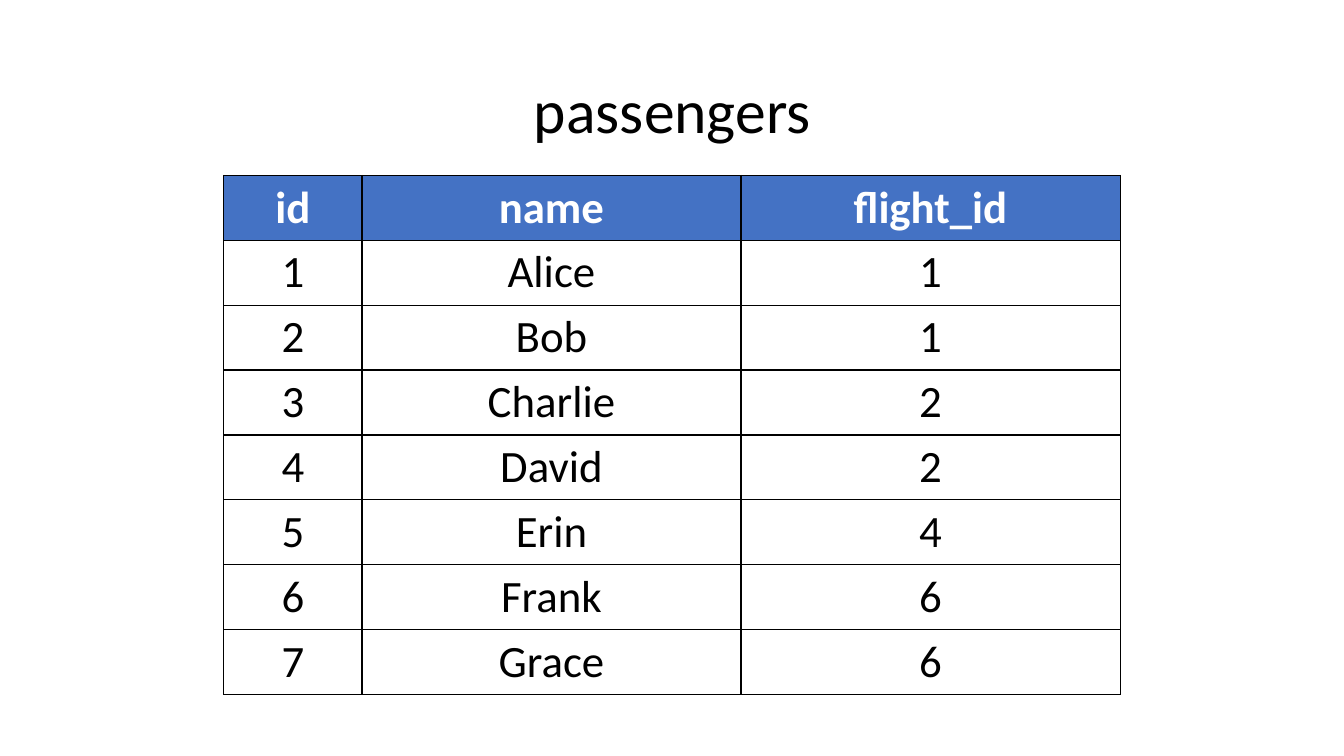
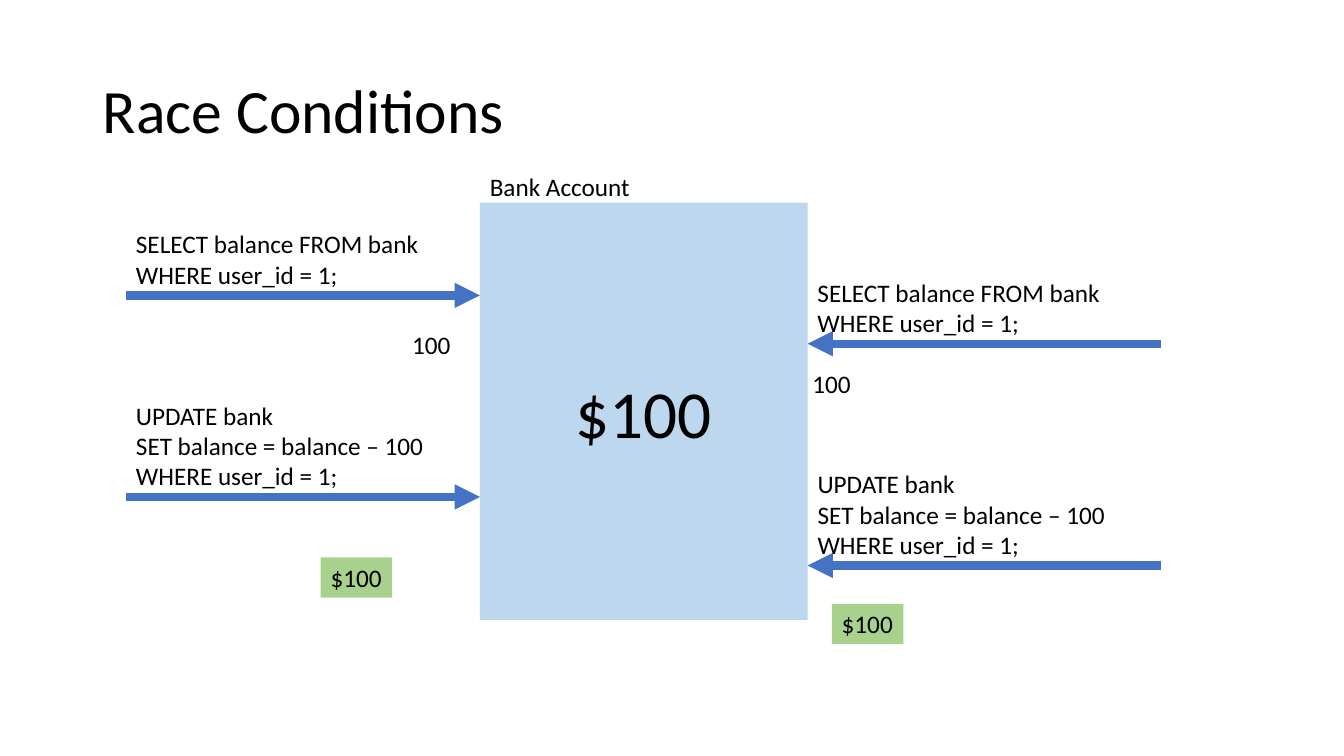
from lxml.etree import SubElement
from pptx import Presentation
from pptx.dml.color import RGBColor
from pptx.enum.shapes import MSO_CONNECTOR, MSO_SHAPE
from pptx.enum.text import MSO_ANCHOR, MSO_AUTO_SIZE, PP_ALIGN
from pptx.oxml.ns import qn
from pptx.util import Inches, Pt

# Shared look
BLACK = RGBColor(0x00, 0x00, 0x00)
WHITE = RGBColor(0xFF, 0xFF, 0xFF)
BLUE = RGBColor(0x44, 0x72, 0xC4)
PALE_BLUE = RGBColor(0xBD, 0xD7, 0xEE)
GREEN = RGBColor(0xA9, 0xD1, 0x8E)
FONT = "Calibri"
TITLE_SIZE, TABLE_SIZE, ACCOUNT_SIZE, LABEL_SIZE = 44, 32, 48, 18
TITLE_ONLY = 5

# Passengers table
PASSENGERS = [
    ("id", "name", "flight_id"),
    ("1", "Alice", "1"),
    ("2", "Bob", "1"),
    ("3", "Charlie", "2"),
    ("4", "David", "2"),
    ("5", "Erin", "4"),
    ("6", "Frank", "6"),
    ("7", "Grace", "6"),
]
COLUMN_WIDTHS = (1.37, 3.76, 3.76)
TABLE_LEFT, TABLE_TOP, TABLE_HEIGHT = 2.22, 1.74, 5.07

# Bank account diagram
ACCOUNT = (4.76, 2.01, 3.25, 4.14)
ARROW_LENGTH = 3.51
SELECT = ("SELECT balance FROM bank", "WHERE user_id = 1;")
UPDATE = ("UPDATE bank", "SET balance = balance – 100", "WHERE user_id = 1;")
QUERIES = [  # side, arrow height, lines, text width, text height
    ("left", 2.93, SELECT, 3.03, 0.71),
    ("left", 4.93, UPDATE, 3.09, 1.01),
    ("right", 3.41, SELECT, 3.03, 0.71),
    ("right", 5.61, UPDATE, 3.09, 1.01),
]
LABELS = [  # text, left, top, width, fill
    ("Bank Account", 4.76, 1.65, 1.6, None),
    ("100", 3.99, 3.22, 0.59, None),
    ("100", 7.96, 3.61, 0.59, None),
    ("$100", 3.18, 5.53, 0.71, GREEN),
    ("$100", 8.25, 5.99, 0.71, GREEN),
]
LABEL_HEIGHT = 0.4


def write(frame, lines, size, color=BLACK, bold=False, align=PP_ALIGN.LEFT):
    frame.text = "\n".join(lines)
    looks = {"name": FONT, "size": Pt(size), "bold": bold}
    for para in frame.paragraphs:
        para.alignment = align
        for span in para.runs:
            for key, value in looks.items():
                setattr(span.font, key, value)
            span.font.color.rgb = color


def add_page(deck, title, align):
    page = deck.slides.add_slide(deck.slide_layouts[TITLE_ONLY])
    box = page.shapes.title
    place = {"left": 0.92, "top": 0.4, "width": 11.5, "height": 1.45}
    for key, value in place.items():
        setattr(box, key, Inches(value))
    box.text_frame.vertical_anchor = MSO_ANCHOR.MIDDLE
    write(box.text_frame, [title], TITLE_SIZE, align=align)
    box.text_frame.paragraphs[0].line_spacing = 0.9
    return page


def add_label(shapes, lines, left, top, width, height, fill=None):
    box = shapes.add_textbox(*map(Inches, (left, top, width, height)))
    frame = box.text_frame
    frame.word_wrap = False
    frame.auto_size = MSO_AUTO_SIZE.SHAPE_TO_FIT_TEXT
    write(frame, lines, LABEL_SIZE)
    if fill is not None:
        box.fill.solid()
        box.fill.fore_color.rgb = fill


def add_arrow(shapes, start, end, y):
    arrow = shapes.add_connector(
        MSO_CONNECTOR.STRAIGHT, Inches(start), Inches(y), Inches(end), Inches(y))
    arrow.line.color.rgb = BLUE
    arrow.line.width = Pt(6)
    SubElement(arrow.line._get_or_add_ln(), qn("a:tailEnd"), type="triangle")
    SubElement(arrow._element.spPr, qn("a:effectLst"))


def add_borders(cell):
    properties = cell._tc.get_or_add_tcPr()
    for side in ("L", "R", "T", "B"):
        line = SubElement(properties, qn(f"a:ln{side}"), w=str(Pt(1)))
        paint = SubElement(line, qn("a:solidFill"))
        SubElement(paint, qn("a:srgbClr"), val=str(BLACK))


def build_passengers(deck):
    page = add_page(deck, "passengers", PP_ALIGN.CENTER)
    table = page.shapes.add_table(
        len(PASSENGERS), len(COLUMN_WIDTHS), Inches(TABLE_LEFT), Inches(TABLE_TOP),
        Inches(sum(COLUMN_WIDTHS)), Inches(TABLE_HEIGHT)).table
    table.horz_banding = False
    for column, width in zip(table.columns, COLUMN_WIDTHS):
        column.width = Inches(width)
    for r, values in enumerate(PASSENGERS):
        header = r == 0
        for c, value in enumerate(values):
            cell = table.cell(r, c)
            add_borders(cell)
            if header:
                cell.fill.solid()
                cell.fill.fore_color.rgb = BLUE
            else:
                cell.fill.background()
            write(cell.text_frame, [value], TABLE_SIZE,
                  WHITE if header else BLACK, header, PP_ALIGN.CENTER)


def build_race_conditions(deck):
    page = add_page(deck, "Race Conditions", PP_ALIGN.LEFT)

    # Account
    box = page.shapes.add_shape(MSO_SHAPE.RECTANGLE, *map(Inches, ACCOUNT))
    box.shadow.inherit = False
    box.fill.solid()
    box.fill.fore_color.rgb = PALE_BLUE
    box.line.fill.background()
    box.text_frame.vertical_anchor = MSO_ANCHOR.MIDDLE
    write(box.text_frame, ["$100"], ACCOUNT_SIZE, align=PP_ALIGN.CENTER)

    # Queries, each resting on an arrow that points at the account
    account_left = ACCOUNT[0]
    account_right = ACCOUNT[0] + ACCOUNT[2]
    for side, y, lines, width, height in QUERIES:
        if side == "left":
            start, end = account_left - ARROW_LENGTH, account_left
        else:
            start, end = account_right + ARROW_LENGTH, account_right
        group = page.shapes.add_group_shape()
        add_arrow(group.shapes, start, end, y)
        add_label(group.shapes, lines, min(start, end), y - height, width, height)

    # Results and balances
    for text, left, top, width, fill in LABELS:
        add_label(page.shapes, [text], left, top, width, LABEL_HEIGHT, fill)


def main():
    deck = Presentation()
    deck.slide_width, deck.slide_height = Inches(13.33), Inches(7.5)
    build_passengers(deck)
    build_race_conditions(deck)
    deck.save("out.pptx")


if __name__ == "__main__":
    main()
